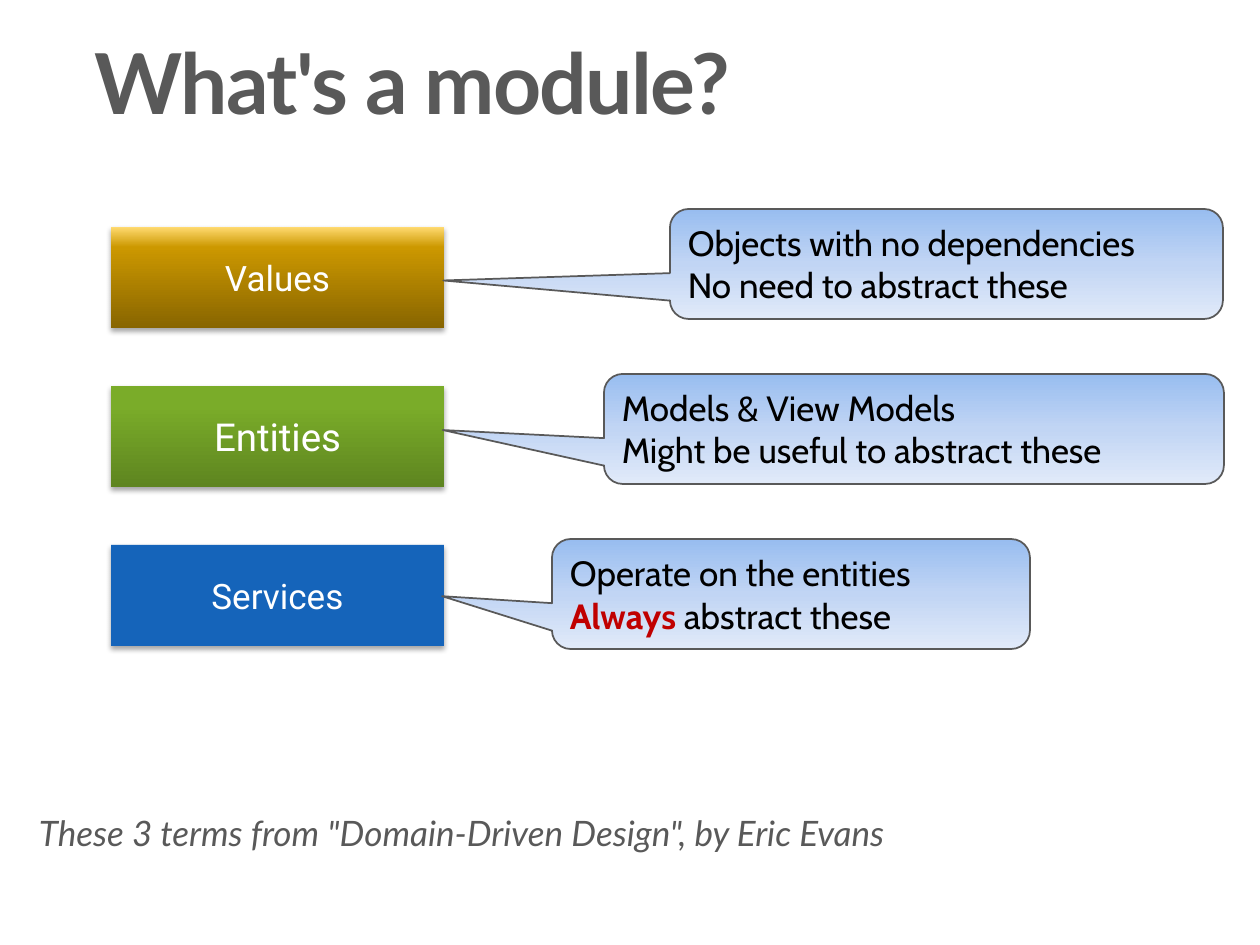
from dataclasses import dataclass

from lxml import etree
from pptx import Presentation
from pptx import util as u
from pptx.dml.color import RGBColor
from pptx.enum import shapes, text
from pptx.oxml.ns import qn


@dataclass(frozen=True)
class Theme:
    grey: str = "595959"
    white: str = "FFFFFF"
    black: str = "000000"
    red: str = "C00000"
    gold: tuple = ((0, "886500"), (80, "CC9800"), (100, "FFDA70"))
    green: tuple = ((0, "5E8520"), (80, "7AAC29"), (100, "7BAF27"))
    blue: tuple = ((0, "1564BA"),)
    sky: tuple = ((0, "98BDF0"), (50, "C1D5F4"), (100, "E1EAF9"))
    heading: str = "Lato"
    label: str = "Roboto"
    note: str = "Cabin"
    title_size: int = 48
    entity_size: int = 22
    body_size: int = 20


T = Theme()
TITLE = "What's a module?"
FOOTER = 'These 3 terms from "Domain-Driven Design", by Eric Evans'
TERMS = [
    {"name": "Values", "size": T.body_size, "fill": T.gold,
     "left": 670, "width": 553, "tip": (-0.91, 0.15),
     "lines": [["Objects with no dependencies"], ["No need to abstract these"]]},
    {"name": "Entities", "size": T.entity_size, "fill": T.green,
     "left": 604, "width": 620, "tip": (-0.76, 0.01),
     "lines": [["Models & View Models"], ["Might be useful to abstract these"]]},
    {"name": "Services", "size": T.body_size, "fill": T.blue,
     "left": 552, "width": 478, "tip": (-0.73, 0.02),
     "lines": [["Operate on the entities"], ["Always ", "abstract these"]]},
]
EMPHASIS = "Always "
BAR = {"left": 111, "top": 227, "width": 333, "height": 101, "pitch": 159}
CALLOUT = {"top": 209, "height": 110, "pitch": 165, "corner": 0.17}
SCALE = 914400 / 126


def px(*values):
    return [u.Emu(round(v * SCALE)) for v in values]


def style(r, font, size, color, bold=False, italic=False):
    f = r.font
    f.name, f.size, f.bold, f.italic = font, u.Pt(size), bold, italic
    f.color.rgb = RGBColor.from_string(color)


def paint(sp, stops, angle):
    if len(stops) == 1:
        sp.fill.solid()
        sp.fill.fore_color.rgb = RGBColor.from_string(stops[0][1])
        return
    sp.fill.gradient()
    sp.fill.gradient_angle = angle
    gs_list = sp._element.spPr.find(qn("a:gradFill")).find(qn("a:gsLst"))
    for gs in list(gs_list):
        gs_list.remove(gs)
    for pos, color in stops:
        gs = etree.SubElement(gs_list, qn("a:gs"), pos=str(pos * 1000))
        etree.SubElement(gs, qn("a:srgbClr"), val=color)


def drop_shadow(sp):
    effects = sp._element.spPr.find(qn("a:effectLst"))
    shadow = etree.SubElement(
        effects, qn("a:outerShdw"), blurRad=str(u.Pt(3.1)), dist=str(u.Pt(1.8)),
        dir="5400000", rotWithShape="0")
    color = etree.SubElement(shadow, qn("a:srgbClr"), val=T.black)
    etree.SubElement(color, qn("a:alpha"), val="35000")


def add_shape(s, kind, box, stops, angle):
    sp = s.shapes.add_shape(kind, *px(*box))
    paint(sp, stops, angle)
    sp.shadow.inherit = False
    sp.text_frame.vertical_anchor = text.MSO_ANCHOR.MIDDLE
    return sp


def add_bar(s, i, term):
    box = (BAR["left"], BAR["top"] + i * BAR["pitch"], BAR["width"], BAR["height"])
    sp = add_shape(s, shapes.MSO_SHAPE.RECTANGLE, box, term["fill"], 90)
    sp.line.fill.background()
    drop_shadow(sp)
    tf = sp.text_frame
    tf.word_wrap = False
    tf.text = term["name"]
    p = tf.paragraphs[0]
    p.alignment = text.PP_ALIGN.CENTER
    style(p.runs[0], T.label, term["size"], T.white)


def add_callout(s, i, term):
    box = (term["left"], CALLOUT["top"] + i * CALLOUT["pitch"],
           term["width"], CALLOUT["height"])
    sp = add_shape(s, shapes.MSO_SHAPE.ROUNDED_RECTANGULAR_CALLOUT, box, T.sky, 270)
    for n, value in enumerate((*term["tip"], CALLOUT["corner"])):
        sp.adjustments[n] = value
    sp.line.color.rgb = RGBColor.from_string(T.grey)
    sp.line.width = u.Pt(1)
    tf = sp.text_frame
    tf.word_wrap = True
    for n, line in enumerate(term["lines"]):
        p = tf.add_paragraph() if n else tf.paragraphs[0]
        p.alignment = text.PP_ALIGN.LEFT
        for part in line:
            r = p.add_run()
            r.text = part
            strong = part == EMPHASIS
            style(r, T.note, T.body_size, T.red if strong else T.black, bold=strong)


def add_text(s, content, box, size, **emphasis):
    tf = s.shapes.add_textbox(*px(*box)).text_frame
    tf.word_wrap = True
    tf.margin_left = tf.margin_right = tf.margin_top = tf.margin_bottom = 0
    tf.text = content
    p = tf.paragraphs[0]
    p.line_spacing = 0.9
    r = p.runs[0]
    style(r, T.heading, size, T.grey, **emphasis)
    return r


def main():
    prs = Presentation()
    prs.slide_width, prs.slide_height = px(1260, 945)
    s = prs.slides.add_slide(prs.slide_layouts[6])
    title = add_text(s, TITLE, (95, 42, 1071, 76), T.title_size, bold=True)
    title.font._element.set("spc", "-100")
    for add in (add_bar, add_callout):
        for i, term in enumerate(TERMS):
            add(s, i, term)
    add_text(s, FOOTER, (39, 816, 1184, 47), T.body_size, italic=True)
    prs.save("out.pptx")


if __name__ == "__main__":
    main()
